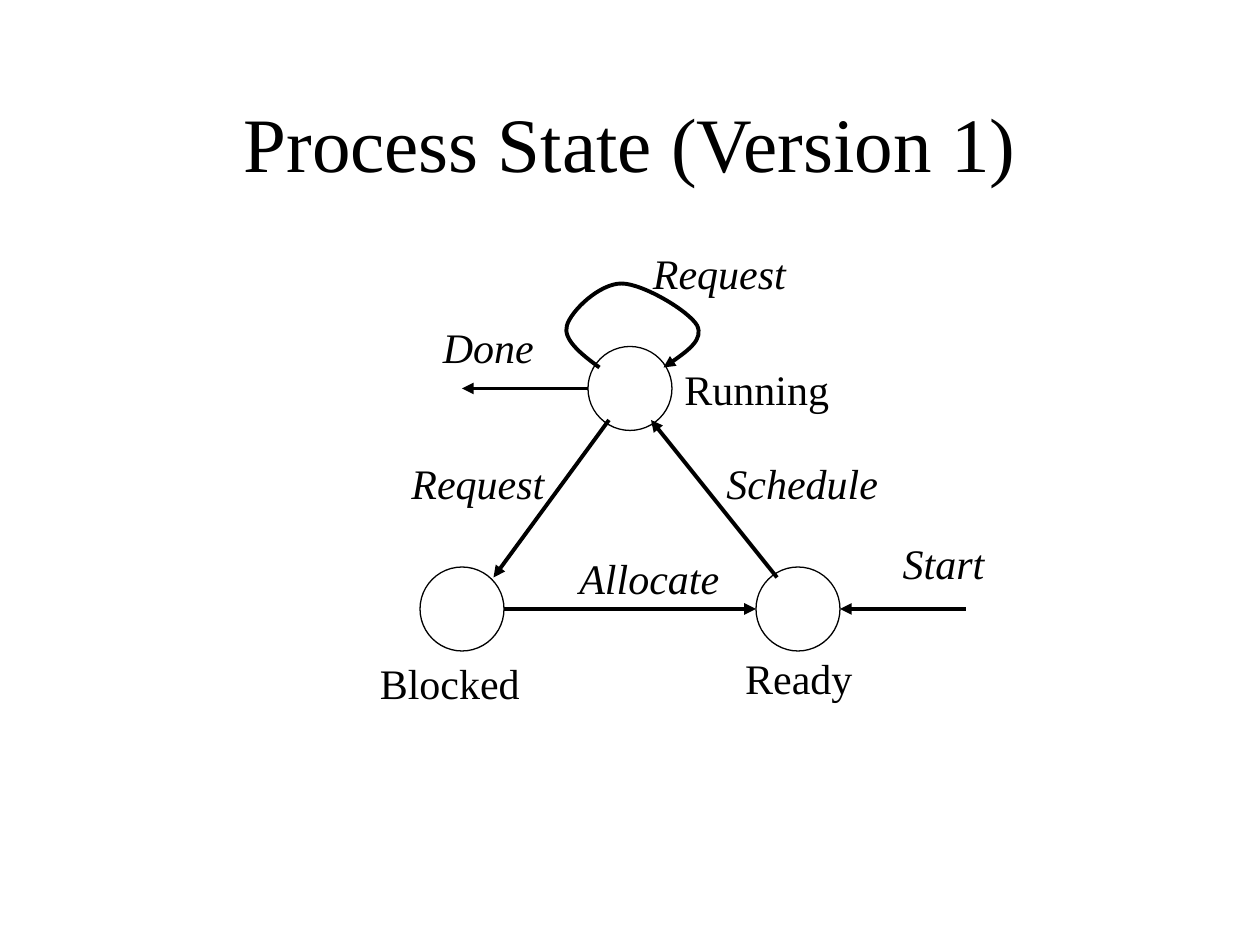
from dataclasses import dataclass

from lxml import etree
from pptx import Presentation
from pptx.dml.color import RGBColor
from pptx.enum.shapes import MSO_CONNECTOR, MSO_SHAPE
from pptx.enum.text import MSO_ANCHOR, MSO_AUTO_SIZE, PP_ALIGN
from pptx.oxml.ns import qn
from pptx.util import Inches, Pt

OVAL = MSO_SHAPE.OVAL
STRAIGHT = MSO_CONNECTOR.STRAIGHT
MIDDLE = MSO_ANCHOR.MIDDLE
FIT_SHAPE = MSO_AUTO_SIZE.SHAPE_TO_FIT_TEXT
CENTER = PP_ALIGN.CENTER

SLIDE_W, SLIDE_H = Inches(10), Inches(7.5)
COLS, ROWS = 120, 90
NODE_SIZE = 8
LABEL_H = 6


@dataclass(frozen=True)
class Theme:
    """Colours, font and sizes of the slide."""
    ink: RGBColor = RGBColor(0, 0, 0)
    paper: RGBColor = RGBColor(255, 255, 255)
    font: str = "Times New Roman"
    title: Pt = Pt(44)
    label: Pt = Pt(24)
    outline: Pt = Pt(0.75)
    arrow: Pt = Pt(2.25)


@dataclass(frozen=True)
class Box:
    """A region of the slide grid, in columns and rows."""
    col: float
    row: float
    cols: float
    rows: float

    def point(self, col, row):
        """Return the slide position of a grid point inside the box."""
        return (round((self.col + col) * SLIDE_W / COLS),
                round((self.row + row) * SLIDE_H / ROWS))

    def inner(self, col, row, cols, rows):
        """Return a box placed relative to this one."""
        return Box(self.col + col, self.row + row, cols, rows)

    def rect(self):
        """Return left, top, width and height on the slide."""
        return (*self.point(0, 0), round(self.cols * SLIDE_W / COLS),
                round(self.rows * SLIDE_H / ROWS))


THEME = Theme()
TITLE_BOX = Box(9, 8, 102, 11)
DIAGRAM_BOX = Box(35, 23, 60, 45)

NODES = [(21, 10), (37, 31), (5, 31)]
ARROWS = [
    ((39, 32), (27, 17)),
    ((23, 17), (12, 32)),
    ((13, 35), (37, 35)),
    ((21, 14), (9, 14)),
    ((57, 35), (45, 35)),
]
REQUEST_LOOP = [
    (22.1, 12),
    (20.3, 10.7), (18.6, 9.3), (19, 8),
    (19.4, 6.6), (22.1, 4), (24.2, 4),
    (26.2, 4), (30.6, 6.6), (31.4, 8),
    (32, 9.3), (30.2, 10.7), (28.2, 12),
]
STATE_LABELS = [
    ("Ready", 34.8, 38.6, 12.7),
    ("Blocked", 0, 39, 15.8),
    ("Running", 29, 11, 16.3),
]
EVENT_LABELS = [
    ("Start", 49.8, 27.6, 10.3),
    ("Schedule", 33, 20, 16.9),
    ("Request", 26, 0, 15.2),
    ("Done", 6, 7, 11.2),
    ("Request", 3, 20, 15.2),
    ("Allocate", 19, 29, 15.8),
]


def set_text(tf, text, size, italic=False):
    """Fill a text frame with one formatted paragraph."""
    tf.text = text
    font = tf.paragraphs[0].runs[0].font
    font.name, font.size, font.italic = THEME.font, size, italic
    font.color.rgb = THEME.ink


def style_arrow(s):
    """Give a connector or curve its stroke and arrowhead."""
    s.line.color.rgb = THEME.ink
    s.line.width = THEME.arrow
    ln = s.line._get_or_add_ln()
    etree.SubElement(ln, qn("a:tailEnd"), type="triangle")


def add_node(slide, box):
    """Draw one state circle."""
    s = slide.shapes.add_shape(OVAL, *box.rect())
    s.shadow.inherit = False
    s.fill.solid()
    s.fill.fore_color.rgb = THEME.paper
    s.line.color.rgb = THEME.ink
    s.line.width = THEME.outline


def add_arrow(slide, start, end):
    """Draw one straight transition."""
    s = slide.shapes.add_connector(STRAIGHT, *start, *end)
    style_arrow(s)
    etree.SubElement(s._element.spPr, qn("a:effectLst"))


def add_curve(slide, points):
    """Draw an open Bezier curve from a start and triples of points."""
    builder = slide.shapes.build_freeform(*points[0])
    builder.add_line_segments(points[1:], close=False)
    s = builder.convert_to_shape()
    segments = list(s._element.iter(qn("a:lnTo")))
    for i in range(0, len(segments), 3):
        segments[i].tag = qn("a:cubicBezTo")
        for extra in segments[i + 1:i + 3]:
            segments[i].append(extra[0])
            extra.getparent().remove(extra)
    s.shadow.inherit = False
    s.fill.background()
    style_arrow(s)


def add_label(slide, box, text, italic):
    """Write one unwrapped label."""
    tf = slide.shapes.add_textbox(*box.rect()).text_frame
    tf.word_wrap = False
    tf.auto_size = FIT_SHAPE
    set_text(tf, text, THEME.label, italic)


def place_title(slide, box, text):
    """Move and format the title placeholder."""
    s = slide.shapes.title
    s.left, s.top, s.width, s.height = box.rect()
    tf = s.text_frame
    tf.vertical_anchor = MIDDLE
    set_text(tf, text, THEME.title)
    tf.paragraphs[0].alignment = CENTER


def place_diagram(slide, box):
    """Draw the state diagram within its box."""
    for col, row in NODES:
        add_node(slide, box.inner(col, row, NODE_SIZE, NODE_SIZE))
    for start, end in ARROWS:
        add_arrow(slide, box.point(*start), box.point(*end))
    add_curve(slide, [box.point(*p) for p in REQUEST_LOOP])
    for labels, italic in ((STATE_LABELS, False), (EVENT_LABELS, True)):
        for text, col, row, cols in labels:
            add_label(slide, box.inner(col, row, cols, LABEL_H), text, italic)


def main():
    """Build and save the presentation."""
    prs = Presentation()
    prs.slide_width, prs.slide_height = SLIDE_W, SLIDE_H
    slide = prs.slides.add_slide(prs.slide_layouts[5])
    slide.background.fill.solid()
    slide.background.fill.fore_color.rgb = THEME.paper
    place_title(slide, TITLE_BOX, "Process State (Version 1)")
    place_diagram(slide, DIAGRAM_BOX)
    prs.save("out.pptx")


if __name__ == "__main__":
    main()
